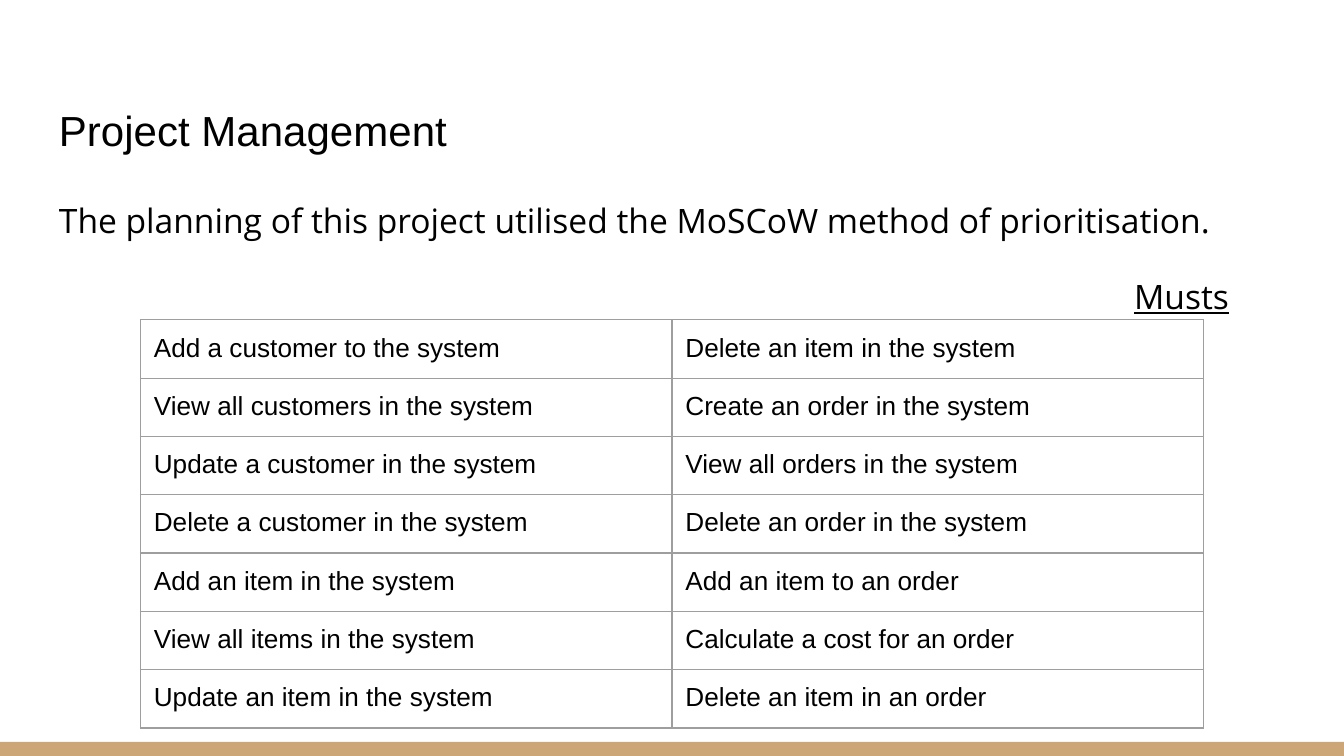
from lxml import etree
from pptx import Presentation
from pptx.dml.color import RGBColor
from pptx.enum.shapes import MSO_SHAPE
from pptx.enum.text import MSO_ANCHOR
from pptx.oxml.ns import qn
from pptx.util import Pt

PX = 4572  # EMU per px, 200 px to the inch
SLIDE_W, SLIDE_H = 2000, 1125
INSET = 20
ROW_H = 80  # rows grow to fit their text

BLACK = RGBColor(0x00, 0x00, 0x00)
TAN = RGBColor(0xCC, 0xA6, 0x77)
WHITE = RGBColor(0xFF, 0xFF, 0xFF)
GREY = RGBColor(0x9E, 0x9E, 0x9E)

RECTANGLE = MSO_SHAPE.RECTANGLE
TOP, BOTTOM = MSO_ANCHOR.TOP, MSO_ANCHOR.BOTTOM

MUSTS = [
    ("Add a customer to the system", "Delete an item in the system"),
    ("View all customers in the system", "Create an order in the system"),
    ("Update a customer in the system", "View all orders in the system"),
    ("Delete a customer in the system", "Delete an order in the system"),
    ("Add an item in the system", "Add an item to an order"),
    ("View all items in the system", "Calculate a cost for an order"),
    ("Update an item in the system", "Delete an item in an order"),
]


def emu(*lengths):
    return [length * PX for length in lengths]


def set_insets(area):
    """Give a text frame or a table cell the same inset on every side."""
    area.margin_left = area.margin_right = INSET * PX
    area.margin_top = area.margin_bottom = INSET * PX


def write(paragraph, text, font, size):
    paragraph.text = text
    for run in paragraph.runs:
        run.font.name = font
        run.font.size = Pt(size)
        run.font.color.rgb = BLACK


def add_text_frame(slide, box, anchor):
    frame = slide.shapes.add_textbox(*emu(*box)).text_frame
    frame.word_wrap = True
    frame.vertical_anchor = anchor
    set_insets(frame)
    return frame


def add_footer_bar(slide, box):
    bar = slide.shapes.add_shape(RECTANGLE, *emu(*box))
    bar.shadow.inherit = False
    bar.fill.solid()
    bar.fill.fore_color.rgb = TAN
    bar.line.fill.background()


def add_title(slide, box):
    frame = add_text_frame(slide, box, BOTTOM)
    write(frame.paragraphs[0], "Project Management", "Arial", 22.5)


def add_body(slide, box):
    frame = add_text_frame(slide, box, TOP)
    intro, heading = frame.paragraphs[0], frame.add_paragraph()
    write(intro, "The planning of this project utilised the MoSCoW method of prioritisation.",
          "Open Sans", 18)
    write(heading, "Musts", "Open Sans", 18)
    intro.line_spacing = heading.line_spacing = 1.15

    # The heading is underlined and indented towards the right
    heading.space_before = heading.space_after = Pt(16)
    heading.runs[0].font.underline = True
    properties = heading._p.get_or_add_pPr()
    properties.set("marL", str(1600 * PX))
    properties.set("indent", "0")


def add_borders(cell):
    properties = cell._tc.get_or_add_tcPr()
    for position, side in enumerate(("a:lnL", "a:lnR", "a:lnT", "a:lnB")):
        line = etree.Element(qn(side), w=str(Pt(0.75)))
        fill = etree.SubElement(line, qn("a:solidFill"))
        etree.SubElement(fill, qn("a:srgbClr"), val=str(GREY))
        properties.insert(position, line)


def add_musts_table(slide, box):
    table = slide.shapes.add_table(len(MUSTS), len(MUSTS[0]), *emu(*box)).table
    table.first_row = table.horz_banding = False
    for row, musts in enumerate(MUSTS):
        for column, must in enumerate(musts):
            cell = table.cell(row, column)
            set_insets(cell)
            cell.fill.solid()
            cell.fill.fore_color.rgb = WHITE
            write(cell.text_frame.paragraphs[0], must, "Arial", 14)
            add_borders(cell)


def main():
    presentation = Presentation()
    presentation.slide_width, presentation.slide_height = emu(SLIDE_W, SLIDE_H)
    slide = presentation.slides.add_slide(presentation.slide_layouts[6])

    add_footer_bar(slide, (0, 1104, SLIDE_W, 21))
    add_title(slide, (68, 69, 1864, 182))
    add_body(slide, (68, 268, 1864, 734))
    add_musts_table(slide, (209, 476, 1582, ROW_H * len(MUSTS)))

    presentation.save("out.pptx")


if __name__ == "__main__":
    main()
